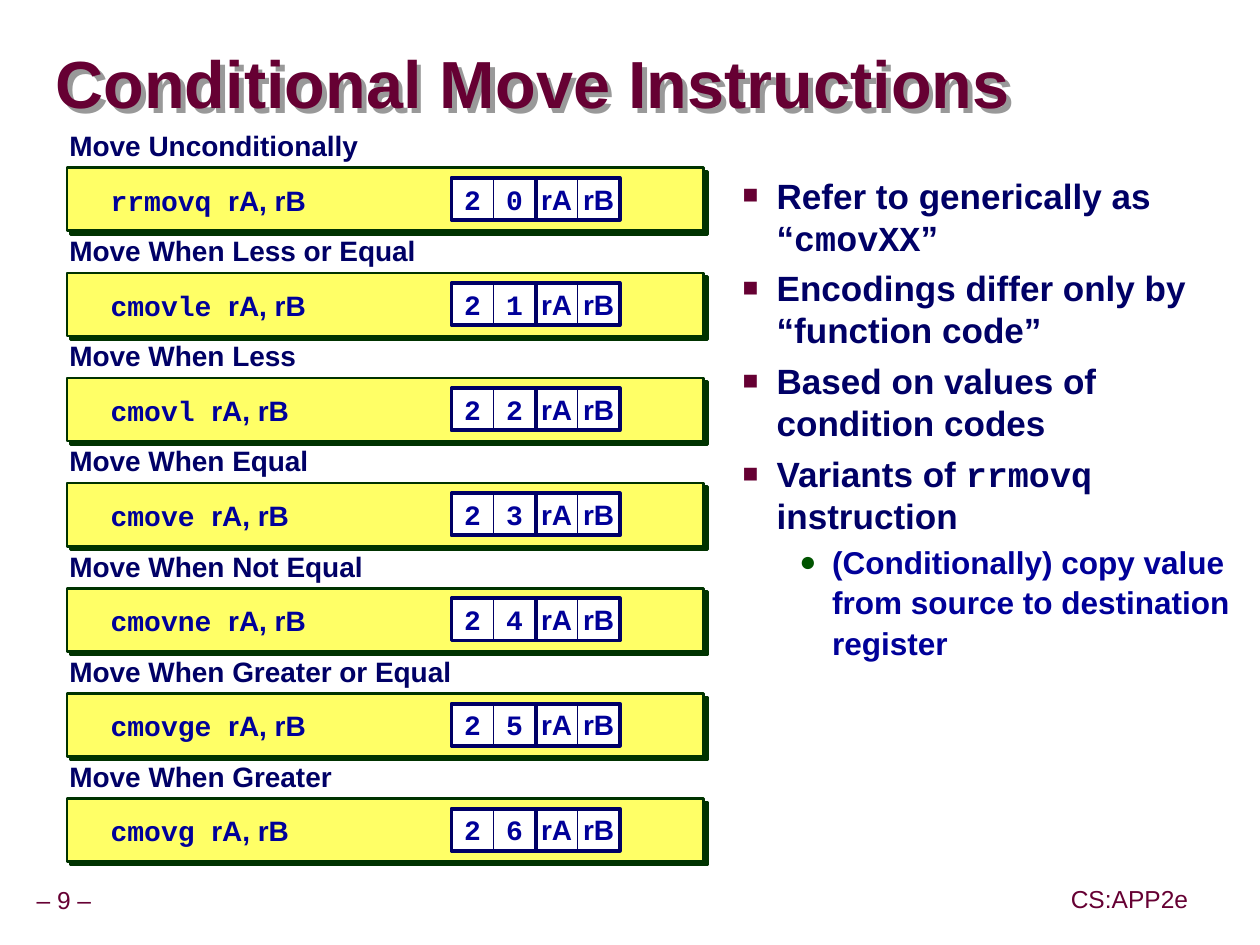
from dataclasses import dataclass

from lxml.etree import SubElement
from pptx import Presentation
from pptx.dml.color import RGBColor
from pptx.enum.shapes import MSO_SHAPE
from pptx.enum.text import MSO_ANCHOR, PP_ALIGN
from pptx.oxml.ns import qn
from pptx.util import Inches, Pt


@dataclass(frozen=True)
class Theme:
    sans: str = "Arial"
    mono: str = "Courier New"
    maroon: str = "660033"
    navy: str = "000066"
    blue: str = "000099"
    yellow: str = "FFFF66"
    dark_green: str = "003300"
    bullet_green: str = "005400"
    white: str = "FFFFFF"
    title_shadow: str = "999999"
    title_size: int = 38
    body_size: int = 20
    detail_size: int = 18
    code_size: int = 16
    footer_size: int = 14


THEME = Theme()

# label, label width, mnemonic; the row number is the function code
INSTRUCTIONS = [
    ("Move Unconditionally", 2.42, "rrmovq"),
    ("Move When Less or Equal", 2.88, "cmovle"),
    ("Move When Less", 1.93, "cmovl"),
    ("Move When Equal", 2.03, "cmove"),
    ("Move When Not Equal", 2.46, "cmovne"),
    ("Move When Greater or Equal", 3.16, "cmovge"),
    ("Move When Greater", 2.21, "cmovg"),
]
ROW_PITCH = 5 / 6
CELL = 1 / 3

# runs of each point as (text, font)
POINTS = [
    [("Refer to generically as “", THEME.sans), ("cmovXX", THEME.mono), ("”", THEME.sans)],
    [("Encodings differ only by “function code”", THEME.sans)],
    [("Based on values of condition codes", THEME.sans)],
    [("Variants of ", THEME.sans), ("rrmovq", THEME.mono), (" instruction", THEME.sans)],
]
DETAIL = [("(Conditionally) copy value from source to destination register", THEME.sans)]


def color(value):
    return RGBColor.from_string(value)


def add_runs(paragraph, runs, size, text_color, bold=True):
    for text, font_name in runs:
        run = paragraph.add_run()
        run.text = text
        run.font.name = font_name
        run.font.size = Pt(size)
        run.font.bold = bold
        run.font.color.rgb = color(text_color)


def set_frame(shape, insets=(0.1, 0.05), wrap=False, anchor=MSO_ANCHOR.MIDDLE):
    """Set up the text frame and return its first paragraph."""
    frame = shape.text_frame
    frame.word_wrap = wrap
    frame.vertical_anchor = anchor
    frame.margin_left = frame.margin_right = Inches(insets[0])
    frame.margin_top = frame.margin_bottom = Inches(insets[1])
    return frame.paragraphs[0]


def add_text_box(slide, left, top, width, height):
    return slide.shapes.add_textbox(Inches(left), Inches(top), Inches(width), Inches(height))


def add_shadow(shape, shadow_color, distance):
    """Add a hard shadow that falls to the lower right."""
    shape.shadow.inherit = False
    effects = shape._element.spPr.find(qn("a:effectLst"))
    shadow = SubElement(effects, qn("a:outerShdw"), dist=str(Pt(distance)),
                        dir="2700000", algn="ctr", rotWithShape="0")
    SubElement(shadow, qn("a:srgbClr"), val=shadow_color)


def add_rectangle(shapes, left, top, width, height, fill, line, line_width):
    shape = shapes.add_shape(MSO_SHAPE.RECTANGLE, Inches(left), Inches(top),
                             Inches(width), Inches(height))
    shape.shadow.inherit = False
    if fill:
        shape.fill.solid()
        shape.fill.fore_color.rgb = color(fill)
    else:
        shape.fill.background()
    shape.line.color.rgb = color(line)
    shape.line.width = Pt(line_width)
    return shape


def add_title(slide, left, top, width, height):
    shape = add_text_box(slide, left, top, width, height)
    paragraph = set_frame(shape, insets=(0, 0), wrap=True)
    paragraph.line_spacing = 0.87
    add_runs(paragraph, [("Conditional Move Instructions", THEME.sans)],
             THEME.title_size, THEME.maroon)
    add_shadow(shape, THEME.title_shadow, 4)


def add_footer(slide, text, left, top, width, height):
    paragraph = set_frame(add_text_box(slide, left, top, width, height),
                          insets=(0.05, 0.05), wrap=True)
    paragraph.line_spacing = 0.9
    add_runs(paragraph, [(text, THEME.sans)], THEME.footer_size, THEME.maroon, bold=False)


def add_byte(slide, left, top, halves, font_name):
    """Add one encoded byte: two half-byte cells in a heavy frame."""
    group = slide.shapes.add_group_shape()
    for index, text in enumerate(halves):
        cell = add_rectangle(group.shapes, left + index * CELL, top, CELL, CELL,
                             THEME.white, THEME.navy, 0.5)
        paragraph = set_frame(cell)
        paragraph.alignment = PP_ALIGN.CENTER
        add_runs(paragraph, [(text, font_name)], THEME.code_size, THEME.blue)
    add_rectangle(group.shapes, left, top, 2 * CELL, CELL, None, THEME.navy, 2.25)


def add_instruction(slide, left, top, label, label_width, mnemonic, code):
    box = add_rectangle(slide.shapes, left + 0.03, top + 0.33, 5.05, 0.5,
                        THEME.yellow, THEME.dark_green, 1.5)
    add_shadow(box, THEME.dark_green, 2.8)

    syntax = set_frame(add_text_box(slide, left + 0.28, top + 0.42, 2, 0.33), wrap=True)
    add_runs(syntax, [(mnemonic + " ", THEME.mono), ("rA, rB", THEME.sans)],
             THEME.code_size, THEME.blue)

    heading = set_frame(add_text_box(slide, left, top, label_width, 0.34),
                        insets=(0.05, 0.05), anchor=MSO_ANCHOR.TOP)
    heading.line_spacing = 0.9
    add_runs(heading, [(label, THEME.sans)], THEME.code_size, THEME.navy)

    add_byte(slide, left + 3.08, top + 0.41, ("2", str(code)), THEME.mono)
    add_byte(slide, left + 3.08 + 2 * CELL, top + 0.41, ("rA", "rB"), THEME.sans)


def set_bullet(paragraph, character, bullet_color, percent, margin, hanging):
    properties = paragraph._p.get_or_add_pPr()
    properties.set("marL", str(Inches(margin)))
    properties.set("indent", str(-Inches(hanging)))
    bullet = SubElement(properties, qn("a:buClr"))
    SubElement(bullet, qn("a:srgbClr"), val=bullet_color)
    SubElement(properties, qn("a:buSzPct"), val=str(percent * 1000))
    SubElement(properties, qn("a:buFont"), typeface=THEME.sans)
    SubElement(properties, qn("a:buChar"), char=character)


def add_points(slide, left, top, width, height):
    shape = add_text_box(slide, left, top, width, height)
    paragraph = set_frame(shape, wrap=True, anchor=MSO_ANCHOR.TOP)
    for index, runs in enumerate(POINTS):
        if index:
            paragraph = shape.text_frame.add_paragraph()
        paragraph.line_spacing = 1.0
        paragraph.space_before = Pt(5)
        set_bullet(paragraph, "■", THEME.maroon, 75, 0.81, 0.27)
        add_runs(paragraph, runs, THEME.body_size, THEME.navy)
    paragraph = shape.text_frame.add_paragraph()
    paragraph.level = 1
    paragraph.line_spacing = 1.07
    paragraph.space_before = Pt(1.8)
    set_bullet(paragraph, "●", THEME.bullet_green, 90, 1.25, 0.26)
    add_runs(paragraph, DETAIL, THEME.detail_size, THEME.blue)


def main():
    presentation = Presentation()
    presentation.slide_width = Inches(9.99)
    presentation.slide_height = Inches(7.49)
    slide = presentation.slides.add_slide(presentation.slide_layouts[6])
    add_footer(slide, "– 9 –", 0.24, 6.99, 0.66, 0.31)
    add_footer(slide, "CS:APP2e", 8.44, 6.98, 1.1, 0.31)
    add_title(slide, 0.44, 0.27, 9.52, 0.85)
    add_points(slide, 5.25, 1.33, 4.74, 5.7)
    for code, (label, label_width, mnemonic) in enumerate(INSTRUCTIONS):
        add_instruction(slide, 0.5, 1 + code * ROW_PITCH, label, label_width, mnemonic, code)
    presentation.save("out.pptx")


if __name__ == "__main__":
    main()
